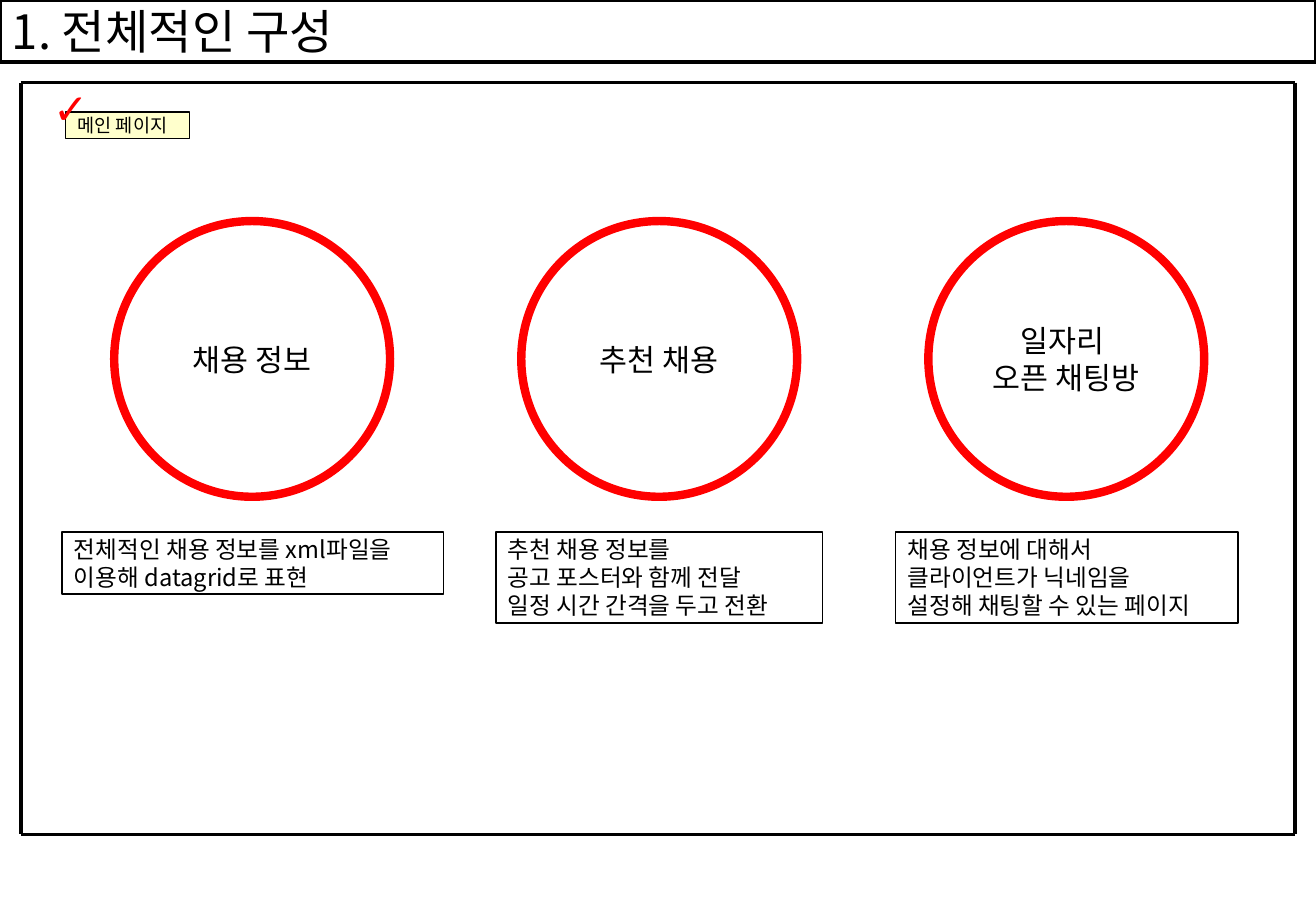
from pptx import Presentation
from pptx.dml.color import RGBColor
from pptx.enum import shapes, text
from pptx.oxml import parse_xml
from pptx.oxml.ns import nsdecls
from pptx.util import Inches, Pt

TITLE = "1. 전체적인 구성 "
LABEL = "메인 페이지"
CHECK = "✓"
PAGES = [
    {"name": ["채용 정보"],
     "note": ["전체적인 채용 정보를 xml파일을", "이용해 datagrid로 표현 "],
     "box": (0.51, 3.14, 0.51)},
    {"name": ["추천 채용"],
     "note": ["추천 채용 정보를 ", "공고 포스터와 함께 전달", "일정 시간 간격을 두고 전환 "],
     "box": (4.08, 2.69, 0.75)},
    {"name": ["일자리 ", "오픈 채팅방"],
     "note": ["채용 정보에 대해서 ", "클라이언트가 닉네임을 ", "설정해 채팅할 수 있는 페이지"],
     "box": (7.37, 2.82, 0.75)},
]
THEME = {
    "font": "Noto Sans CJK KR", "symbol": "Arial",
    "ink": "000000", "paper": "FFFFFF", "accent": "FF0000", "label": "FFFFCC",
    "title": 28, "name": 18, "note": 14, "tag": 11, "check": 25,
    "thin": 1, "frame": 2.25, "ring": 5,
}
FRAME = (0.17, 0.68, 10.66, 6.87)
CIRCLE_LEFT, CIRCLE_TOP, CIRCLE_SIZE, CIRCLE_STEP = 0.94, 1.82, 2.27, 3.35
NOTE_TOP = 4.38

prs = Presentation()
prs.slide_width, prs.slide_height = Inches(10.83), Inches(7.5)
s = prs.slides.add_slide(prs.slide_layouts[6])


def rgb(name):
    return RGBColor.from_string(THEME[name])


def write(sp, lines, size, font="font", color="ink", bold=False, center=False,
          wrap=False, inset=0.02):
    tf = sp.text_frame
    tf.word_wrap = wrap
    tf.margin_left = tf.margin_right = Inches(0.1)
    tf.margin_top = tf.margin_bottom = Inches(inset)
    tf.vertical_anchor = text.MSO_ANCHOR.MIDDLE if center else text.MSO_ANCHOR.TOP
    for i, line in enumerate(lines):
        p = tf.add_paragraph() if i else tf.paragraphs[0]
        p.alignment = text.PP_ALIGN.CENTER if center else text.PP_ALIGN.LEFT
        r = p.add_run()
        r.text = line
        r.font.name, r.font.size, r.font.bold = THEME[font], Pt(THEME[size]), bold
        r.font.color.rgb = rgb(color)
        face = THEME[font]
        r.font._element.append(parse_xml(f'<a:ea {nsdecls("a")} typeface="{face}"/>'))


def add_box(kind, box, fill=None, line="ink", width="thin"):
    sp = s.shapes.add_shape(kind, *map(Inches, box))
    sp.shadow.inherit = False
    if fill:
        sp.fill.solid()
        sp.fill.fore_color.rgb = rgb(fill)
    else:
        sp.fill.background()
    sp.line.color.rgb = rgb(line)
    sp.line.width = Pt(THEME[width])
    return sp


def add_line(*ends):
    c = s.shapes.add_connector(shapes.MSO_CONNECTOR.STRAIGHT, *map(Inches, ends))
    c.line.color.rgb = rgb("ink")
    c.line.width = Pt(THEME["frame"])
    c._element.spPr.append(parse_xml(f'<a:effectLst {nsdecls("a")}/>'))


RECT, OVAL = shapes.MSO_SHAPE.RECTANGLE, shapes.MSO_SHAPE.OVAL

write(add_box(RECT, (0, 0, 10.83, 0.51), "paper", width="frame"), [TITLE], "title", wrap=True)

left, top, right, bottom = FRAME
for x in (left, right):
    add_line(x, top, x, bottom)
for y in (top, bottom):
    add_line(left, y, right, y)

write(add_box(RECT, (0.54, 0.92, 1.02, 0.22), "label"), [LABEL], "tag")
tick = s.shapes.add_textbox(*map(Inches, (0.34, 0.63, 0.47, 0.52)))
write(tick, [CHECK], "check", font="symbol", color="accent", bold=True, inset=0.05)

for i, page in enumerate(PAGES):
    x = CIRCLE_LEFT + i * CIRCLE_STEP
    ring = add_box(OVAL, (x, CIRCLE_TOP, CIRCLE_SIZE, CIRCLE_SIZE), line="accent", width="ring")
    write(ring, page["name"], "name", center=True, wrap=True, inset=0.05)
    x, w, h = page["box"]
    write(add_box(RECT, (x, NOTE_TOP, w, h), "paper"), page["note"], "note")

prs.save("out.pptx")
